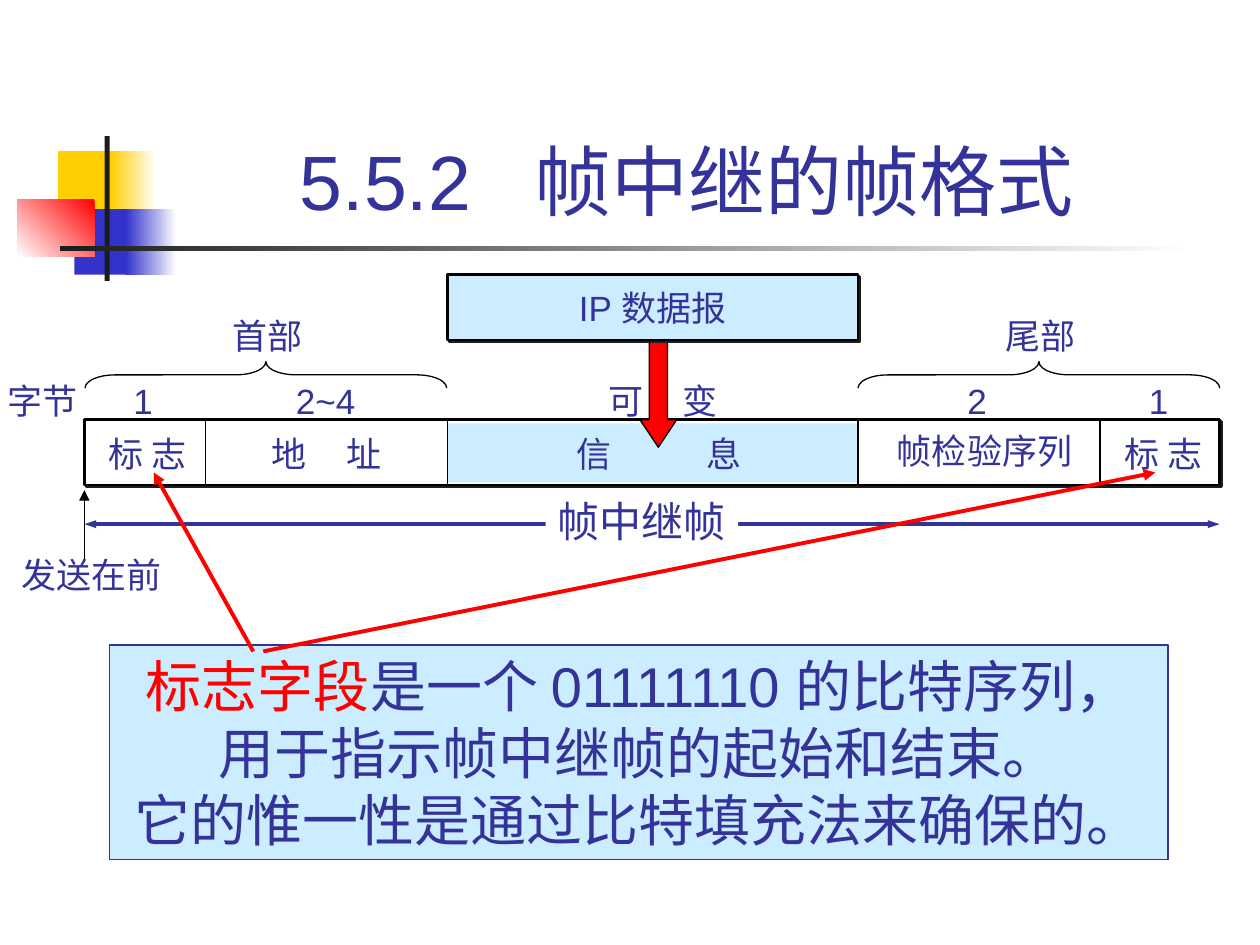
from dataclasses import dataclass
from typing import Optional

from lxml.etree import SubElement
from pptx import Presentation
from pptx.dml.color import RGBColor
from pptx.enum.shapes import MSO_CONNECTOR, MSO_SHAPE
from pptx.enum.text import MSO_ANCHOR, PP_ALIGN
from pptx.oxml.ns import qn
from pptx.util import Inches, Pt


@dataclass(frozen=True)
class Theme:
    font: str = "Arial"
    text: str = "333399"
    red: str = "FF0000"
    pale: str = "CCECFF"
    white: str = "FFFFFF"
    black: str = "000000"
    dark: str = "1C1C1C"
    yellow: str = "FFCF01"
    blue: str = "3333CC"
    title: int = 44
    note: int = 32
    frame: int = 24
    label: int = 20


T = Theme()


@dataclass(frozen=True)
class Box:
    x: float
    y: float
    w: float
    h: float
    fill: Optional[str] = None
    fade_to: Optional[str] = None  # second gradient colour
    angle: int = 180
    line: Optional[str] = None
    line_w: float = 0.75
    shadow: bool = False


@dataclass(frozen=True)
class Label:
    text: str
    x: float
    y: float
    w: float
    h: float = 0.44
    size: int = T.label
    tab: Optional[float] = None  # where the text after a tab starts


@dataclass(frozen=True)
class Line:
    x1: float
    y1: float
    x2: float
    y2: float
    color: str = T.black
    width: float = 0.75
    ends: tuple = ()  # headEnd and/or tailEnd
    arrow_w: str = "med"


def add_box(s, b: Box, kind=MSO_SHAPE.RECTANGLE):
    sp = s.shapes.add_shape(kind, Inches(b.x), Inches(b.y), Inches(b.w), Inches(b.h))
    sp.shadow.inherit = False
    if b.fade_to:
        sp.fill.gradient()
        sp.fill.gradient_angle = b.angle
        for stop, color in zip(sp.fill.gradient_stops, (b.fill, b.fade_to)):
            stop.color.rgb = RGBColor.from_string(color)
    elif b.fill:
        sp.fill.solid()
        sp.fill.fore_color.rgb = RGBColor.from_string(b.fill)
    else:
        sp.fill.background()
    if b.line:
        sp.line.color.rgb = RGBColor.from_string(b.line)
        sp.line.width = Pt(b.line_w)
    else:
        sp.line.fill.background()
    if b.shadow:
        effects = sp._element.spPr.find(qn("a:effectLst"))
        shadow = SubElement(effects, qn("a:outerShdw"), blurRad="0",
                            dist=str(Pt(1.4)), dir="2700000", algn="tl")
        SubElement(shadow, qn("a:srgbClr"), val=T.dark)
    return sp


def write(sp, text: str, size: int, align=PP_ALIGN.LEFT,
          anchor=MSO_ANCHOR.TOP, tab: Optional[float] = None):
    tf = sp.text_frame
    tf.word_wrap = False
    tf.vertical_anchor = anchor
    tf.text = text
    for p in tf.paragraphs:
        p.alignment = align
        if tab:
            tabs = SubElement(p._p.get_or_add_pPr(), qn("a:tabLst"))
            SubElement(tabs, qn("a:tab"), pos=str(Inches(tab)), algn="l")
        for r in p.runs:
            style(r, size)
    return tf


def style(r, size: int, color: str = T.text):
    r.font.name = T.font
    r.font.size = Pt(size)
    r.font.color.rgb = RGBColor.from_string(color)


def add_label(s, t: Label):
    sp = s.shapes.add_textbox(Inches(t.x), Inches(t.y), Inches(t.w), Inches(t.h))
    write(sp, t.text, t.size, tab=t.tab)
    return sp


def add_line(s, n: Line):
    c = s.shapes.add_connector(MSO_CONNECTOR.STRAIGHT, Inches(n.x1), Inches(n.y1),
                               Inches(n.x2), Inches(n.y2))
    c.line.color.rgb = RGBColor.from_string(n.color)
    c.line.width = Pt(n.width)
    for end in n.ends:
        SubElement(c.line._get_or_add_ln(), qn(f"a:{end}"), type="triangle",
                   w=n.arrow_w, len="med")
    SubElement(c._element.spPr, qn("a:effectLst"))


def add_brace(s, center: float, top: float, length: float, depth: float):
    """Left brace turned so that its point looks up."""
    sp = add_box(s, Box(center - depth / 2, top + depth / 2 - length / 2,
                        depth, length, line=T.black), MSO_SHAPE.LEFT_BRACE)
    sp.adjustments[0] = 1.14
    sp.rotation = 90


def main():
    prs = Presentation()
    prs.slide_width, prs.slide_height = Inches(10), Inches(7.5)
    s = prs.slides.add_slide(prs.slide_layouts[6])

    # Corner decoration and title rule
    for b in (
        Box(0.46, 1.2, 0.48, 0.52, T.yellow),
        Box(0.88, 1.2, 0.36, 0.52, T.white, T.yellow),
        Box(0.59, 1.66, 0.46, 0.52, T.blue),
        Box(1, 1.66, 0.4, 0.52, T.white, T.blue),
        Box(0.14, 1.58, 0.61, 0.46, T.red, T.white, 225),
        Box(0.83, 1.08, 0.04, 1.15, T.dark),
        Box(0.48, 1.95, 9, 0.04, T.white, T.dark),
    ):
        add_box(s, b)

    # Title
    title = add_label(s, Label("5.5.2\t帧中继的帧格式", 1.26, 0.24, 8.52, 1.6,
                               T.title, tab=1.86))
    title.text_frame.word_wrap = True
    title.text_frame.vertical_anchor = MSO_ANCHOR.BOTTOM
    title.text_frame.margin_left = Inches(1.12)

    # Extent of the whole frame and sending order
    edges = (0.67, 1.63, 3.55, 6.81, 8.73, 9.68)
    add_line(s, Line(edges[0], 4.16, edges[-1], 4.16, T.text, 2.25,
                     ("headEnd", "tailEnd"), "sm"))
    write(add_box(s, Box(4.33, 3.88, 1.53, 0.5, T.white)), "帧中继帧", T.frame)
    add_label(s, Label("发送在前", 0.07, 4.34, 1.36))
    add_line(s, Line(edges[0], 4.44, edges[0], 3.89, ends=("tailEnd",)))

    # Frame with its fields
    top, height = 3.33, 0.52
    add_box(s, Box(edges[0], top, edges[-1] - edges[0], height, T.white,
                   line=T.black, line_w=1.5, shadow=True))
    add_box(s, Box(edges[2], top + 0.03, edges[3] - edges[2], 0.47, T.pale))
    for x in edges[1:-1]:
        add_line(s, Line(x, top, x, top + height))

    # Field names, byte counts and section names
    name_y, byte_y, section_y = 3.38, 2.96, 2.45
    for t in (
        Label("标 志", 0.76, name_y, 0.85),
        Label("标 志", 8.83, name_y, 0.85),
        Label("地\t址", 2.06, name_y, 1.15, tab=0.59),
        Label("信\t息", 4.48, name_y, 1.6, tab=1.03),
        Label("帧检验序列", 7.02, 3.36, 1.65),
        Label("字节", -0.04, byte_y, 0.82),
        Label("1", 0.96, byte_y, 0.35),
        Label("2~4", 2.25, byte_y, 0.7),
        Label("可\t变", 4.73, byte_y, 1.15, tab=0.59),
        Label("2", 7.58, byte_y, 0.35),
        Label("1", 9.02, byte_y, 0.35),
        Label("首部", 1.75, section_y, 0.82),
        Label("尾部", 7.88, section_y, 0.82),
    ):
        add_label(s, t)
    for left, right in ((edges[0], edges[2]), (edges[3], edges[5])):
        add_brace(s, (left + right) / 2, 2.87, 2.87, 0.21)

    # IP datagram going into the information field
    arrow = add_box(s, Box(5.08, 2.69, 0.29, 0.86, T.red, line=T.black),
                    MSO_SHAPE.DOWN_ARROW)
    arrow.adjustments[0], arrow.adjustments[1] = 0.5, 0.75
    datagram = add_box(s, Box(edges[2], 2.18, edges[3] - edges[2], height, T.pale,
                              line=T.black, line_w=1.5, shadow=True))
    write(datagram, "IP 数据报", T.label, PP_ALIGN.CENTER, MSO_ANCHOR.MIDDLE)

    # Note about the flag field
    note = add_box(s, Box(0.87, 5.12, 8.4, 1.7, T.pale, line=T.text))
    tf = write(note, "标志字段\n用于指示帧中继帧的起始和结束。\n"
                     "它的惟一性是通过比特填充法来确保的。", T.note, PP_ALIGN.CENTER)
    p = tf.paragraphs[0]
    style(p.runs[0], T.note, T.red)
    r = p.add_run()
    r.text = "是一个 01111110 的比特序列，"
    style(r, T.note)
    for x1, x2 in ((2.01, 1.22), (2.09, 9.17)):
        add_line(s, Line(x1, 5.17, x2, 3.75, T.red, 2.25, ("tailEnd",)))

    prs.save("out.pptx")


if __name__ == "__main__":
    main()
